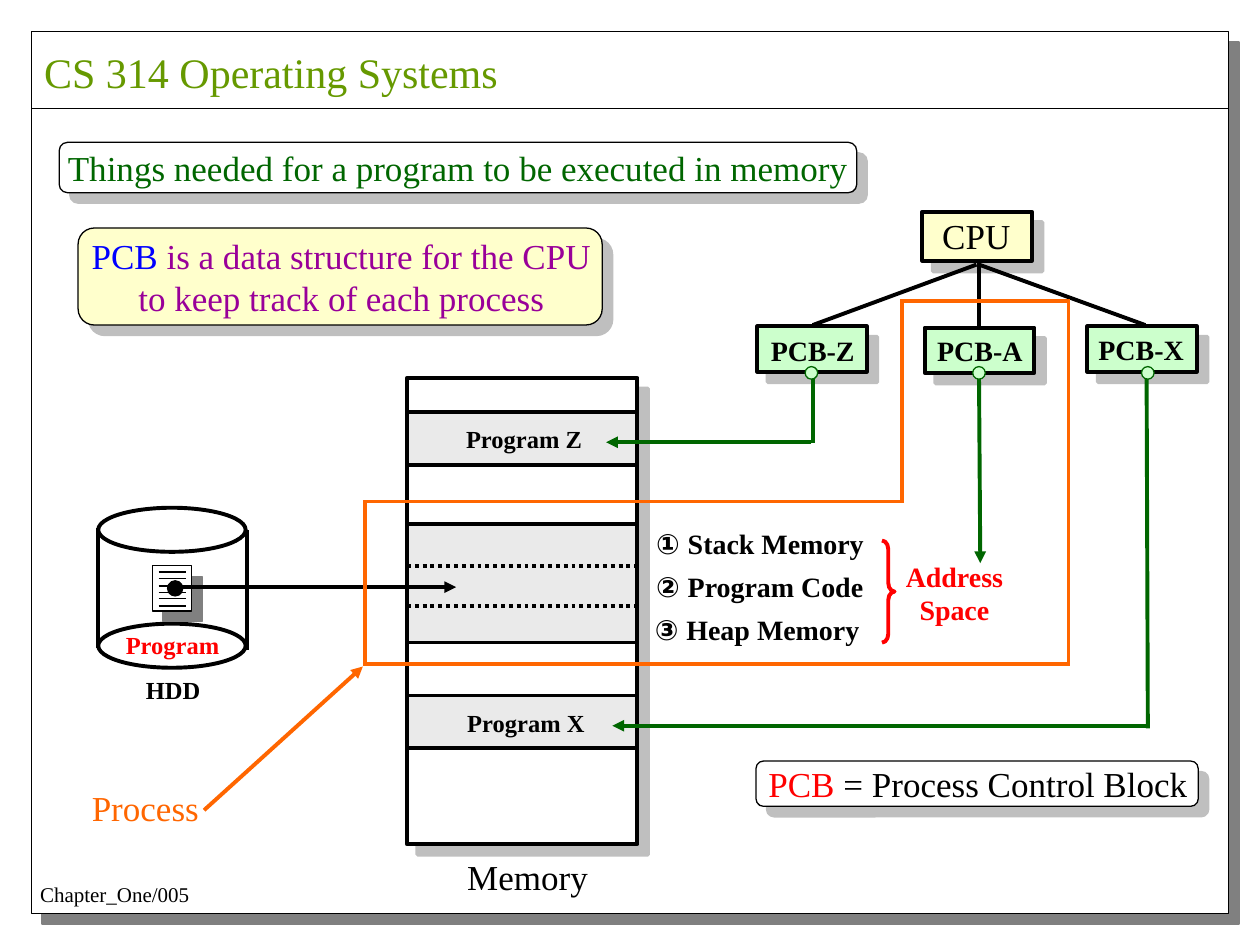
from lxml.etree import SubElement
from pptx import Presentation
from pptx.dml.color import RGBColor
from pptx.enum.dml import MSO_LINE_DASH_STYLE as DASH
from pptx.enum.shapes import MSO_CONNECTOR, MSO_SHAPE as SHAPE
from pptx.enum.text import MSO_ANCHOR, MSO_AUTO_SIZE, PP_ALIGN as ALIGN
from pptx.oxml.ns import qn
from pptx.util import Pt

PX = 9144  # 100 px to the inch
SERIF = "Times New Roman"
BLACK, WHITE, GREY, RED = "000000", "FFFFFF", "EAEAEA", "FF0000"
GREEN, MINT, CREAM, ORANGE = "006600", "CCFFCC", "FFFFCC", "FF6600"
color = RGBColor.from_string

deck = Presentation()
deck.slide_width, deck.slide_height = 1000 * PX, 750 * PX
page = deck.slides.add_slide(deck.slide_layouts[5])


def draw_shape(kind, left, top, width, height, fill, line=BLACK, weight=2.25, shadow=0):
    """Add a preset shape; shadow is its opacity in percent."""
    shape = page.shapes.add_shape(kind, left * PX, top * PX, width * PX, height * PX)
    shape.shadow.inherit = False
    if fill:
        shape.fill.solid()
        shape.fill.fore_color.rgb = color(fill)
    else:
        shape.fill.background()
    shape.line.color.rgb = color(line)
    shape.line.width = Pt(weight)
    if shadow:
        effects = shape._element.spPr.find(qn("a:effectLst"))
        outer = SubElement(effects, qn("a:outerShdw"), dist="107950", dir="2700000",
                           algn="ctr", rotWithShape="0")
        tint = SubElement(outer, qn("a:srgbClr"), val="808080")
        SubElement(tint, qn("a:alpha"), val=str(shadow * 1000))
    return shape


def draw_line(x1, y1, x2, y2, line=BLACK, weight=2.25, arrow=False, dash=None):
    """Add a straight line, with an arrowhead at its end if asked."""
    link = page.shapes.add_connector(MSO_CONNECTOR.STRAIGHT, x1 * PX, y1 * PX, x2 * PX, y2 * PX)
    link.line.color.rgb = color(line)
    link.line.width = Pt(weight)
    if dash:
        link.line.dash_style = dash
    if arrow:
        SubElement(link.line._get_or_add_ln(), qn("a:tailEnd"), type="triangle")
    SubElement(link._element.spPr, qn("a:effectLst"))
    return link


# Page frame
draw_shape(SHAPE.RECTANGLE, 25, 25, 950, 700, WHITE, weight=0.75, shadow=100)
draw_line(25, 86, 975, 86, weight=0.75)

# Rounded panels
for left, top, width, height, fill in [
    (47, 113, 633, 40, WHITE),
    (62, 181, 416, 77, CREAM),
    (600, 604, 351, 36, WHITE),
]:
    draw_shape(SHAPE.ROUNDED_RECTANGLE, left, top, width, height, fill, weight=0.75, shadow=50)

# Memory with its program areas
draw_shape(SHAPE.RECTANGLE, 323, 300, 183, 370, WHITE, shadow=50)
for top, height in [(327, 42), (416, 94), (552, 42)]:
    draw_shape(SHAPE.RECTANGLE, 323, top, 183, height, GREY)
for y in (449, 481):
    draw_line(323, y, 505, y, dash=DASH.ROUND_DOT)

# Hard disk
for x, y in [(78, 419), (196, 421)]:
    draw_line(x, y, x, y + 95)
for top in (403, 495):
    draw_shape(SHAPE.OVAL, 78, top, 117, 35, None)

# Program document and its load arrow
draw_shape(SHAPE.RECTANGLE, 121, 449, 31, 36, WHITE, weight=0.75, shadow=100)
for y in (454, 459, 465, 470, 475, 481):
    draw_line(126, y, 148, y, weight=0.75)
draw_shape(SHAPE.OVAL, 133, 461, 12, 12, BLACK, weight=0.75)
draw_line(139, 466, 362, 466, arrow=True)

# Address space brace
brace = draw_shape(SHAPE.RIGHT_BRACE, 700, 429, 10, 81, None, RED)
brace.adjustments[0] = 0.68

# CPU and process control blocks
draw_shape(SHAPE.RECTANGLE, 732, 168, 87, 39, CREAM, shadow=50)
for left, top in [(601, 259), (734, 260), (863, 259)]:
    draw_shape(SHAPE.RECTANGLE, left, top, 87, 36, MINT, shadow=50)
draw_line(777, 206, 777, 259)
draw_line(775, 210, 645, 258)
draw_line(777, 210, 909, 258)

# Process boundary and its pointer
corners = [(290, 398), (716, 398), (716, 239), (848, 239), (848, 527), (290, 527)]
for start, end in zip(corners, corners[1:] + corners[:1]):
    side = draw_line(*start, *end, ORANGE)
    side.line._get_or_add_ln().set("cap", "sq")
draw_line(162, 643, 288, 529, ORANGE, arrow=True)

# Links from each control block to its memory
for x1, y1, x2, y2, arrow in [
    (645, 297, 645, 352, False),
    (644, 351, 481, 351, True),
    (910, 297, 911, 578, False),
    (910, 576, 486, 576, True),
    (777, 296, 778, 447, True),
]:
    draw_line(x1, y1, x2, y2, GREEN, arrow=arrow)
for left in (639, 772, 906):
    draw_shape(SHAPE.OVAL, left, 291, 10, 10, MINT, GREEN, 0.75)

# Texts: place, size, bold, alignment, then paragraphs of (text, colour) runs
labels = [
    (22, 695, 138, 30, 12, False, ALIGN.LEFT, [[("Chapter_One/005", BLACK)]]),
    (44, 111, 639, 44, 20, False, ALIGN.LEFT,
     [[("Things needed for a program to be executed in memory", GREEN)]]),
    (63, 181, 416, 77, 20, False, ALIGN.CENTER,
     [[("PCB", "0000FF"), (" is a data structure for the CPU", "990099")],
      [("to keep track of each process", "990099")]]),
    (600, 600, 352, 44, 20, False, ALIGN.LEFT,
     [[("PCB", RED), (" = Process Control Block", BLACK)]]),
    (361, 674, 116, 44, 20, False, ALIGN.LEFT, [[("Memory", BLACK)]]),
    (738, 165, 74, 44, 20, False, ALIGN.LEFT, [[("CPU", BLACK)]]),
    (63, 619, 105, 44, 20, False, ALIGN.LEFT, [[("Process", ORANGE)]]),
    (106, 531, 63, 34, 14, True, ALIGN.LEFT, [[("HDD", BLACK)]]),
    (90, 495, 94, 34, 14, True, ALIGN.LEFT, [[("Program", RED)]]),
    (360, 332, 112, 34, 14, True, ALIGN.LEFT, [[("Program Z", BLACK)]]),
    (361, 557, 113, 34, 14, True, ALIGN.LEFT, [[("Program X", BLACK)]]),
    (602, 260, 86, 37, 16, True, ALIGN.LEFT, [[("PCB-Z", BLACK)]]),
    (734, 260, 87, 37, 16, True, ALIGN.LEFT, [[("PCB-A", BLACK)]]),
    (862, 259, 87, 37, 16, True, ALIGN.LEFT, [[("PCB-X", BLACK)]]),
    (511, 413, 185, 37, 16, True, ALIGN.LEFT, [[("① ", BLACK), ("Stack Memory", BLACK)]]),
    (511, 447, 185, 37, 16, True, ALIGN.LEFT, [[("② ", BLACK), ("Program Code", BLACK)]]),
    (510, 481, 183, 37, 16, True, ALIGN.LEFT, [[("③ ", BLACK), ("Heap Memory", BLACK)]]),
    (709, 439, 97, 64, 16, True, ALIGN.CENTER, [[("Address", RED)], [("Space", RED)]]),
]
for left, top, width, height, size, bold, align, paragraphs in labels:
    box = page.shapes.add_textbox(left * PX, top * PX, width * PX, height * PX)
    frame = box.text_frame
    frame.word_wrap = True
    frame.auto_size = MSO_AUTO_SIZE.NONE
    # Narrow side margins leave each line room to stay whole
    frame.margin_right = 0
    frame.margin_left = 0 if align == ALIGN.CENTER else 10 * PX
    for number, spans in enumerate(paragraphs):
        para = frame.add_paragraph() if number else frame.paragraphs[0]
        para.alignment = align
        for text, ink in spans:
            span = para.add_run()
            span.text = text
            span.font.name = "Arial" if text[0] in "①②③" else SERIF
            span.font.size = Pt(size)
            span.font.bold = bold
            span.font.color.rgb = color(ink)

# Title, brought in front of the frame
title = page.shapes.title
title.left, title.top, title.width, title.height = 25 * PX, 32 * PX, 380 * PX, 50 * PX
title.text_frame.text = "CS 314 Operating Systems"
title.text_frame.word_wrap = True
title.text_frame.auto_size = MSO_AUTO_SIZE.NONE
title.text_frame.margin_right = 0
title.text_frame.vertical_anchor = MSO_ANCHOR.TOP
para = title.text_frame.paragraphs[0]
para.alignment = ALIGN.LEFT
font = para.runs[0].font
font.name, font.size = SERIF, Pt(24)
font.color.rgb = color("669900")
page.shapes._spTree.append(title._element)

deck.save("out.pptx")
